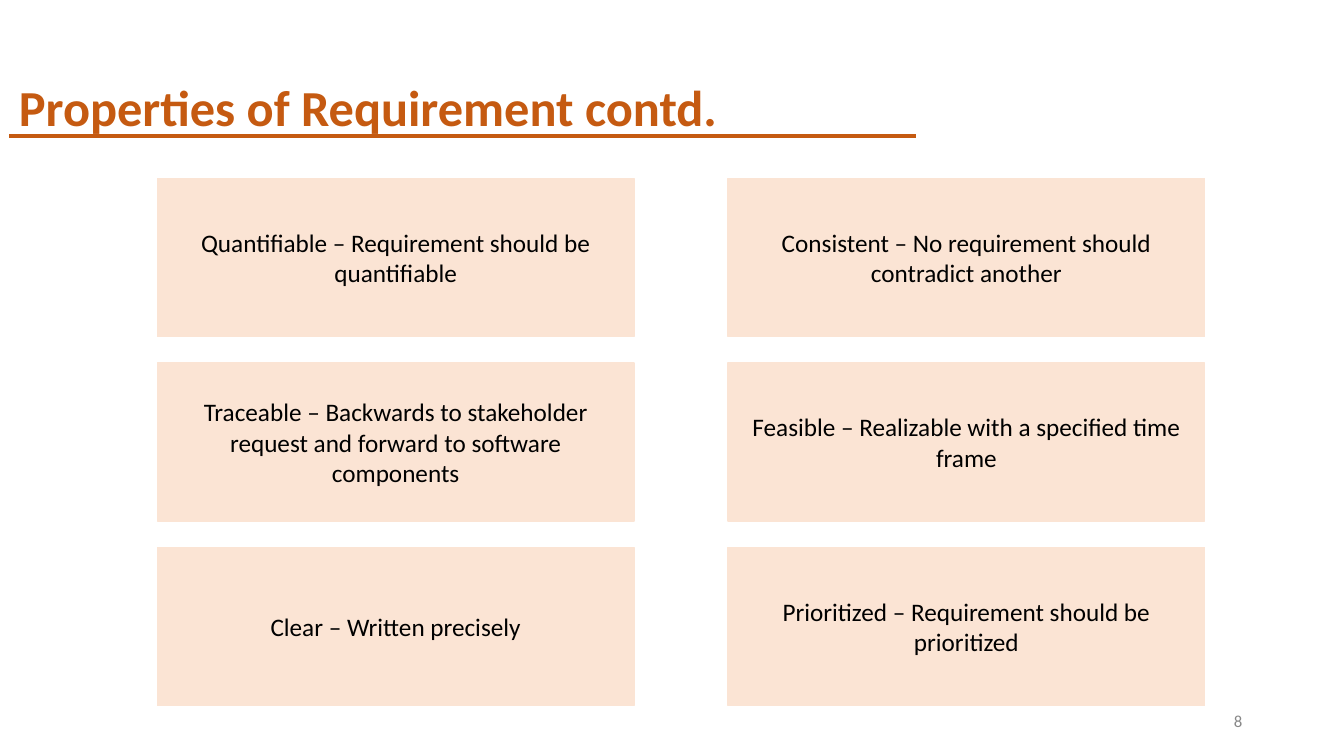
from dataclasses import dataclass

import pptx
import pptx.dml.color
import pptx.enum.shapes
import pptx.enum.text
import pptx.oxml.ns
import pptx.slide
import pptx.text.text
import pptx.util
from lxml import etree

RGBColor = pptx.dml.color.RGBColor
Inches = pptx.util.Inches
Align = pptx.enum.text.PP_ALIGN
Anchor = pptx.enum.text.MSO_ANCHOR

RUST = RGBColor(0xC5, 0x5A, 0x11)
PEACH = RGBColor(0xFB, 0xE4, 0xD4)
GREY = RGBColor(0x88, 0x88, 0x88)
BLACK = RGBColor(0, 0, 0)

FONT = "Calibri"

# Grid of cards, in inches
GRID_LEFT, GRID_TOP = 1.56, 1.77
COLUMN_STEP, ROW_STEP = 5.66, 1.83
CARD_WIDTH, CARD_HEIGHT = 4.73, 1.57


@dataclass(frozen=True)
class Card:
    column: int
    row: int
    text: str


@dataclass(frozen=True)
class Label:
    left: float
    top: float
    width: float
    height: float
    text: str
    size: int
    color: RGBColor
    bold: bool
    align: Align
    anchor: Anchor


CARDS = [
    Card(0, 0, "Quantifiable – Requirement should be quantifiable"),
    Card(0, 1, "Traceable – Backwards to stakeholder request and forward "
               "to software components"),
    Card(0, 2, "Clear – Written precisely"),
    Card(1, 0, "Consistent – No requirement should contradict another"),
    Card(1, 1, "Feasible – Realizable with a specified time frame"),
    Card(1, 2, "Prioritized – Requirement should be prioritized"),
]

LABELS = [
    Label(0.09, 0.71, 9, 0.5, "Properties of Requirement contd.", 36, RUST,
          True, Align.LEFT, Anchor.TOP),
    Label(9.42, 6.95, 3, 0.4, "8", 12, GREY, False, Align.RIGHT, Anchor.MIDDLE),
]


def write(tf: pptx.text.text.TextFrame, text: str, size: int, color: RGBColor,
          bold: bool, align: Align, anchor: Anchor) -> None:
    tf.word_wrap = True
    tf.vertical_anchor = anchor
    p = tf.paragraphs[0]
    p.text = text
    p.alignment = align
    p.font.name = FONT
    p.font.size = pptx.util.Pt(size)
    p.font.bold = bold
    p.font.color.rgb = color


def add_label(s: pptx.slide.Slide, label: Label) -> None:
    box = s.shapes.add_textbox(Inches(label.left), Inches(label.top),
                               Inches(label.width), Inches(label.height))
    write(box.text_frame, label.text, label.size, label.color, label.bold,
          label.align, label.anchor)


def add_title_rule(s: pptx.slide.Slide) -> None:
    rule = s.shapes.add_connector(pptx.enum.shapes.MSO_CONNECTOR.STRAIGHT,
                                  Inches(0.09), Inches(1.35),
                                  Inches(9.09), Inches(1.35))
    rule.line.color.rgb = RUST
    rule.line.width = pptx.util.Pt(3)
    etree.SubElement(rule._element.spPr, pptx.oxml.ns.qn("a:effectLst"))


def add_card(s: pptx.slide.Slide, card: Card) -> None:
    sp = s.shapes.add_shape(pptx.enum.shapes.MSO_SHAPE.RECTANGLE,
                            Inches(GRID_LEFT + card.column * COLUMN_STEP),
                            Inches(GRID_TOP + card.row * ROW_STEP),
                            Inches(CARD_WIDTH), Inches(CARD_HEIGHT))
    sp.shadow.inherit = False
    sp.fill.solid()
    sp.fill.fore_color.rgb = PEACH
    sp.line.color.rgb = PEACH
    sp.line.width = pptx.util.Pt(1)
    write(sp.text_frame, card.text, 18, BLACK, False, Align.CENTER, Anchor.MIDDLE)


def main() -> None:
    prs = pptx.Presentation()
    prs.slide_width, prs.slide_height = Inches(13.33), Inches(7.5)
    s = prs.slides.add_slide(prs.slide_layouts[6])

    # Title and page number
    for label in LABELS:
        add_label(s, label)
    add_title_rule(s)

    # Requirement properties
    for card in CARDS:
        add_card(s, card)

    prs.save("out.pptx")


if __name__ == "__main__":
    main()
